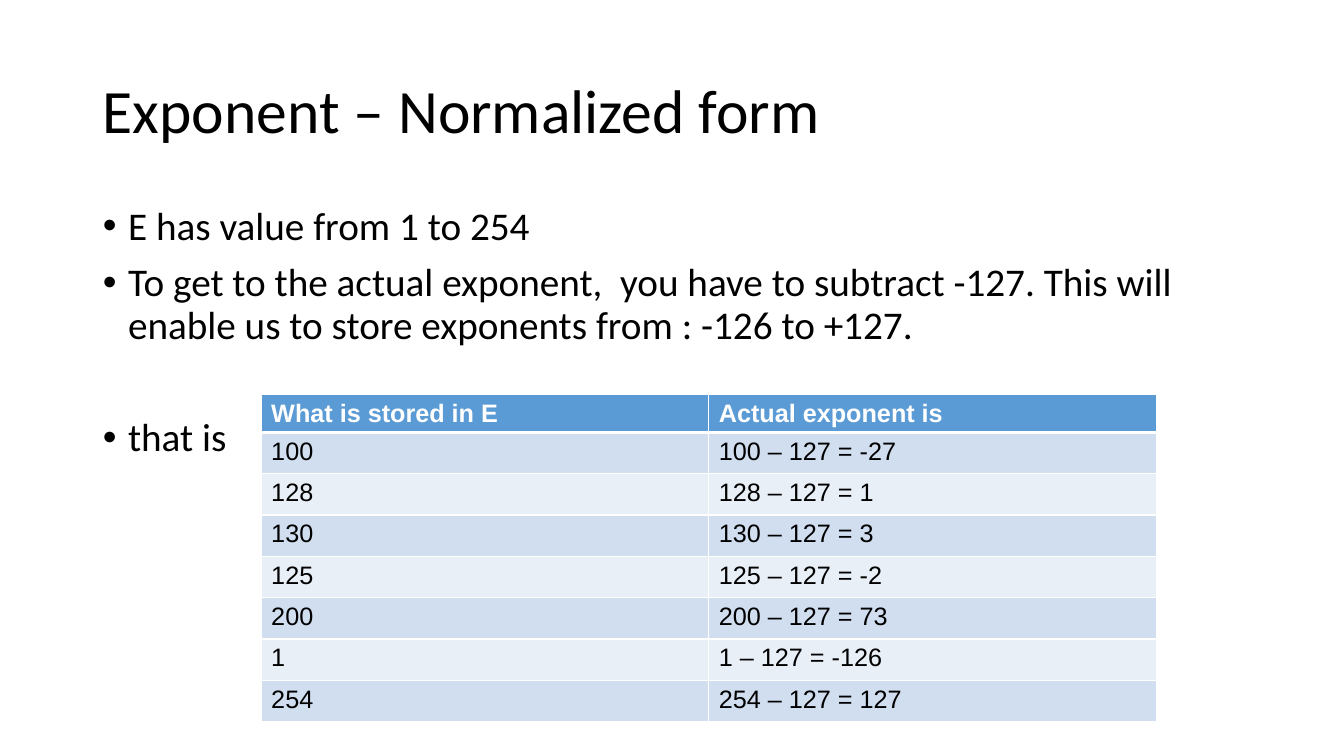
from lxml.etree import SubElement
from pptx import Presentation
from pptx.dml.color import RGBColor
from pptx.enum.text import MSO_ANCHOR, MSO_AUTO_SIZE, PP_ALIGN
from pptx.oxml import parse_xml
from pptx.oxml.ns import nsdecls, qn
from pptx.util import Inches, Pt

WIDTH, HEIGHT = Inches(13.33), Inches(7.5)
MARGIN = Inches(0.92)
BLACK, WHITE = "000000", "FFFFFF"
HEADER_FILL, BAND_FILLS = "5B9BD5", ("D0DEEF", "E9EFF7")

TITLE_FONT = {"name": "Calibri", "size": Pt(44), "bold": False}
BODY_FONT = {"name": "Calibri", "size": Pt(28), "bold": False}
HEADER_FONT = {"name": "Arial", "size": Pt(18), "bold": True}
CELL_FONT = {**HEADER_FONT, "bold": False}

BIAS = 127
STORED_EXPONENTS = (100, 128, 130, 125, 200, 1, 254)
# Each bullet with its space before, in points
BULLETS = (
    ("E has value from 1 to 254", 0),
    ("To get to the actual exponent,  you have to subtract -127. "
     "This will enable us to store exponents from : -126 to +127.", 10),
    ("that is", 50),
)


def apply(target, values):
    for name, value in values.items():
        setattr(target, name, value)


def paint(color_format, hex_color):
    color_format.rgb = RGBColor.from_string(hex_color)


def write(para, text, font, hex_color):
    span = para.add_run()
    span.text = text
    apply(span.font, font)
    paint(span.font.color, hex_color)


def place(box, top, height, anchor):
    """Put a placeholder between the side margins."""
    apply(box, {"left": MARGIN, "top": top,
                "width": WIDTH - 2 * MARGIN, "height": height})
    apply(box.text_frame, {"word_wrap": True, "vertical_anchor": anchor,
                           "auto_size": MSO_AUTO_SIZE.NONE})


def add_bullet(para, indent):
    properties = para._p.get_or_add_pPr()
    properties.set("marL", str(indent))
    properties.set("indent", str(-indent))
    SubElement(properties, qn("a:buFont"), typeface="Arial")
    SubElement(properties, qn("a:buChar"), char="•")


def fill_title(box, text):
    place(box, Inches(0.4), Inches(1.45), MSO_ANCHOR.MIDDLE)
    para = box.text_frame.paragraphs[0]
    apply(para, {"alignment": PP_ALIGN.LEFT, "line_spacing": 0.9})
    write(para, text, TITLE_FONT, BLACK)


def fill_body(box, bullets):
    place(box, Inches(2), Inches(4.76), MSO_ANCHOR.TOP)
    frame = box.text_frame
    for index, (text, space) in enumerate(bullets):
        para = frame.add_paragraph() if index else frame.paragraphs[0]
        apply(para, {"line_spacing": 0.9, "space_before": Pt(space)})
        add_bullet(para, Inches(0.25))
        write(para, text, BODY_FONT, BLACK)


def border_cell(cell, widths):
    """Draw white borders; widths are points for left, right, top, bottom."""
    properties = cell._tc.get_or_add_tcPr()
    for position, (side, width) in enumerate(zip("LRTB", widths)):
        properties.insert(position, parse_xml(
            f'<a:ln{side} {nsdecls("a")} w="{Pt(width)}"><a:solidFill>'
            f'<a:srgbClr val="{WHITE}"/></a:solidFill></a:ln{side}>'))


def fill_cell(cell, text, row):
    header = row == 0
    cell.fill.solid()
    paint(cell.fill.fore_color,
          HEADER_FILL if header else BAND_FILLS[(row - 1) % 2])
    write(cell.text_frame.paragraphs[0], text,
          HEADER_FONT if header else CELL_FONT, WHITE if header else BLACK)
    border_cell(cell, (1, 1, 3 if row == 1 else 1, 3 if header else 1))


def add_exponent_table(slide, rows):
    header_height, row_height, column_width = map(Inches, (0.37, 0.41, 4.44))
    columns = len(rows[0])
    table = slide.shapes.add_table(
        len(rows), columns, Inches(2.59), Inches(3.91), column_width * columns,
        header_height + row_height * (len(rows) - 1)).table
    for column in table.columns:
        column.width = column_width
    for index, values in enumerate(rows):
        table.rows[index].height = row_height if index else header_height
        for column, text in enumerate(values):
            fill_cell(table.cell(index, column), text, index)


def main():
    deck = Presentation()
    apply(deck, {"slide_width": WIDTH, "slide_height": HEIGHT})
    slide = deck.slides.add_slide(deck.slide_layouts[1])
    fill_title(slide.shapes.title, "Exponent – Normalized form")
    fill_body(slide.placeholders[1], BULLETS)
    rows = [("What is stored in E", "Actual exponent is")]
    rows += [(str(stored), f"{stored} – {BIAS} = {stored - BIAS}")
             for stored in STORED_EXPONENTS]
    add_exponent_table(slide, rows)
    deck.save("out.pptx")


if __name__ == "__main__":
    main()
